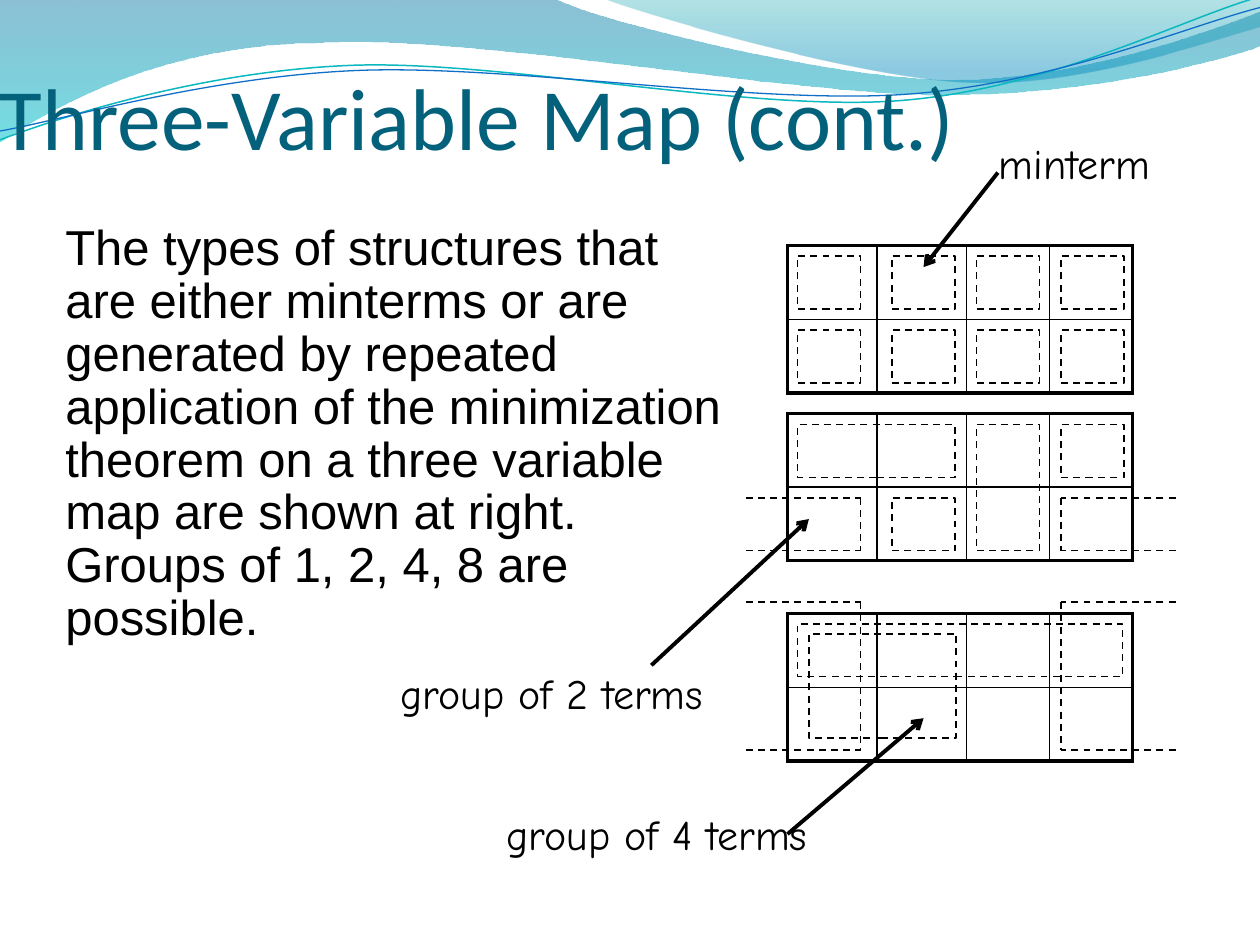
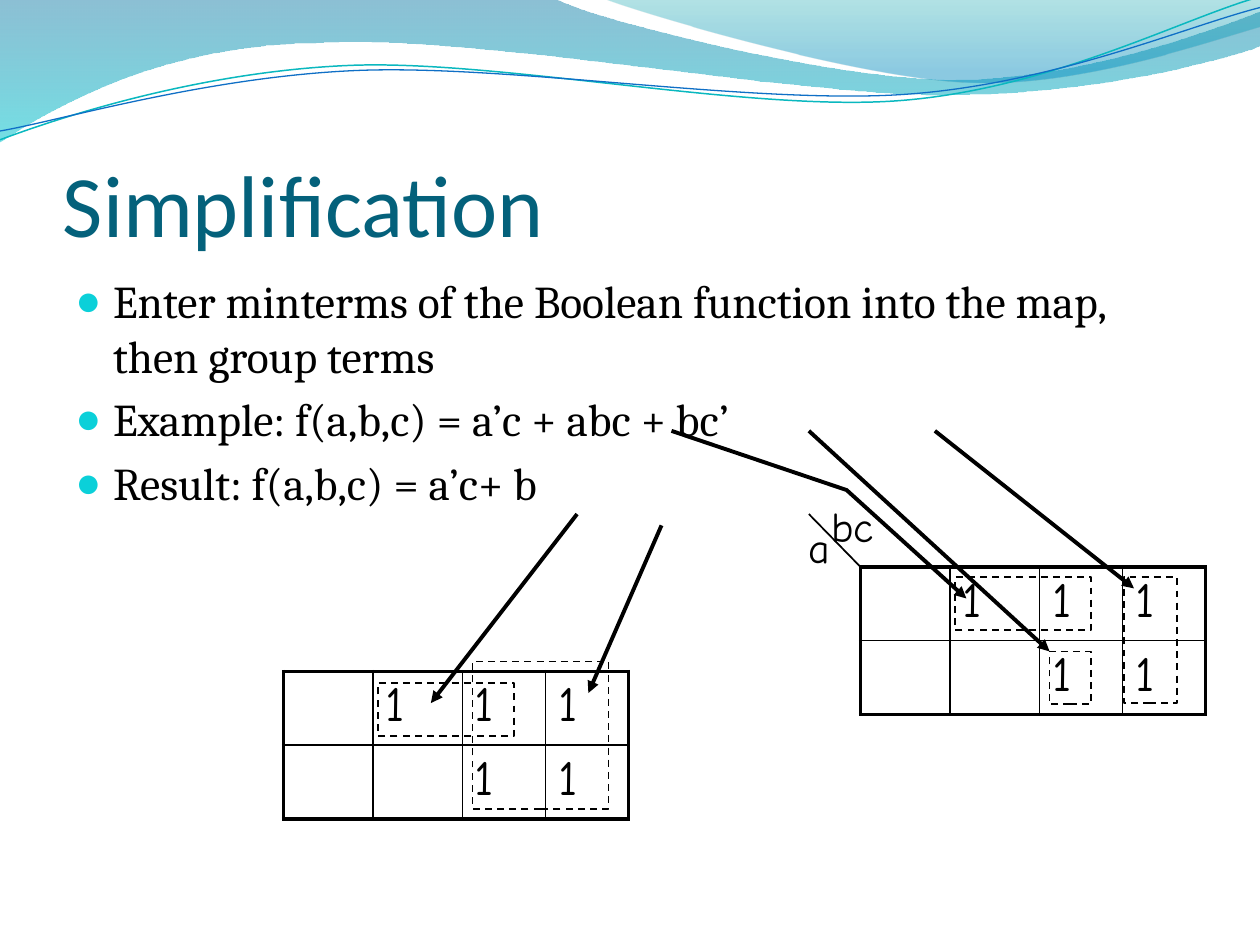
from lxml.etree import SubElement
from pptx import Presentation
from pptx.dml.color import RGBColor
from pptx.enum.dml import MSO_LINE
from pptx.enum.shapes import MSO_CONNECTOR, MSO_SHAPE
from pptx.enum.text import MSO_ANCHOR, MSO_AUTO_SIZE
from pptx.oxml.ns import qn
from pptx.util import Inches, Pt

BLACK, TITLE_COLOR, BULLET_COLOR = "000000", "04617B", "0BD0D9"
THIN, THICK = 1, 2.25

# Waves: a start point, then segments of one point (straight) or three (Bezier).
BANDS = [
    {"start": (0, -0.01),
     "segments": [[(4.4, -0.01)],
                  [(4.76, 0.17), (6.64, 0.63), (7.58, 0.63)],
                  [(8.53, 0.63), (9.58, 0.26), (10, 0.09)],
                  [(10.01, 0.36)],
                  [(9.83, 0.44), (8.7, 0.76), (7.46, 0.75)],
                  [(6.22, 0.75), (3.82, 0.28), (2.57, 0.34)],
                  [(1.29, 0.35), (0.46, 0.83), (-0.01, 1.13)],
                  [(0, -0.01)]],
     "stops": [(0, "0074A1", 45), (1, "00C6CF", 55)]},
    {"start": (4.79, -0.01),
     "segments": [[(5.09, 0.11), (6.82, 0.62), (7.69, 0.65)],
                  [(8.56, 0.69), (9.61, 0.32), (10, 0.21)],
                  [(10, 0)],
                  [(4.79, -0.01)]],
     "stops": [(0, "00A1A9", 30), (0.8, "008BBF", 45)]},
]
WAVE_LINES = [
    {"start": (0, 1.11), "color": "0AB8BF", "width": 0.85,
     "segments": [[(0.48, 0.93), (1.58, 0.57), (2.77, 0.52)],
                  [(3.95, 0.47), (5.93, 0.89), (7.13, 0.8)],
                  [(8.33, 0.71), (9.38, 0.15), (9.98, -0.02)]]},
    {"start": (0, 1.04), "color": "0F6FC6", "width": 0.75,
     "segments": [[(0.47, 0.96), (1.64, 0.61), (2.83, 0.56)],
                  [(4.03, 0.51), (5.97, 0.83), (7.17, 0.75)],
                  [(8.36, 0.67), (9.41, 0.21), (10, 0.06)]]},
]

# Karnaugh maps: boxes (left, top, width, height) and brackets (top, bottom)
# are measured from the top left corner of their map.
COLUMN_WIDTHS, MAP_HEIGHT = (0.71, 0.71, 0.66, 0.66), 1.17
MINTERM_LEFTS, MINTERM_TOPS = (0.08, 0.83, 1.5, 2.17), (0.08, 0.67)
EMPTY_MAP = ["    ", "    "]
FILLED_MAP = [" 111", "  11"]
STRUCTURE_MAPS = [
    {"corner": (6.25, 1.95), "rows": EMPTY_MAP, "brackets": [],
     "boxes": [(left, top, 0.5, 0.42) for top in MINTERM_TOPS for left in MINTERM_LEFTS]},
    {"corner": (6.25, 3.28), "rows": EMPTY_MAP, "brackets": [(0.67, 1.09)],
     "boxes": [(0.08, 0.09, 1.25, 0.42), (1.5, 0.09, 0.5, 1),
               (2.17, 0.09, 0.5, 0.42), (0.83, 0.67, 0.5, 0.42)]},
    {"corner": (6.25, 4.87), "rows": EMPTY_MAP, "brackets": [(-0.09, 1.08)],
     "boxes": [(0.08, 0.08, 2.58, 0.42), (0.17, 0.16, 1.17, 0.83)]},
]
EXAMPLE_MAPS = [
    {"corner": (6.83, 4.5), "rows": FILLED_MAP, "brackets": [],
     "boxes": [(0.75, 0.08, 1.08, 0.42), (1.5, 0.67, 0.33, 0.42), (2.09, 0.08, 0.42, 1)]},
    {"corner": (2.25, 5.33), "rows": FILLED_MAP, "brackets": [],
     "boxes": [(0.75, 0.09, 1.08, 0.42), (1.5, -0.08, 1.08, 1.17)]},
]

SLIDES = [
    {"title": "Three-Variable Map (cont.)", "title_box": (0, 0.08, 10, 1.25),
     "maps": STRUCTURE_MAPS, "arrowhead": "arrow",
     "arrows": [[(7.92, 1.37), (7.33, 2.12)], [(5.17, 5.28), (6.42, 4.12)],
                [(6.25, 6.62), (7.33, 5.7)]],
     "labels": [("minterm", (7.83, 1.04, 1.49, 0.5)),
                ("group of 2 terms", (3.08, 5.25, 2.83, 0.5)),
                ("group of 4 terms", (3.92, 6.37, 2.83, 0.5))]},
    {"title": "Simplification", "title_box": (0.5, 0.77, 9, 1.25),
     "maps": EXAMPLE_MAPS, "arrowhead": "triangle",
     "arrows": [[(7.42, 3.42), (9, 4.67)], [(6.42, 3.42), (8.33, 5.17)],
                [(5.33, 3.42), (6.72, 3.89), (7.67, 4.75)],
                [(4.58, 4.08), (3.42, 5.58)], [(5.25, 4.17), (4.67, 5.5)]],
     "labels": [("a", (6.32, 4.09, 0.37, 0.5)), ("bc", (6.5, 3.92, 0.57, 0.5))]},
]
EXPLANATION = (
    "The types of structures that are either minterms or are generated by repeated "
    "application of the minimization theorem on a three variable map are shown at right. "
    "\vGroups of 1, 2, 4, 8 are possible.")
STEPS = [
    "Enter minterms of the Boolean function into the map, then group terms",
    "Example: f(a,b,c) = a’c + abc + bc’",
    "Result: f(a,b,c) = a’c+ b",
]


def rgb(color):
    """Turn a hex string into a colour."""
    return RGBColor.from_string(color)


def inches(values):
    """Turn a sequence of numbers into lengths."""
    return [Inches(value) for value in values]


def style_line(shape, width, color=BLACK, dashed=False, arrowhead=None):
    """Set the outline of a shape or connector."""
    shape.line.color.rgb = rgb(color)
    shape.line.width = Pt(width)
    if dashed:
        shape.line.dash_style = MSO_LINE.DASH
    if arrowhead:
        SubElement(shape.line._get_or_add_ln(), qn("a:tailEnd"), type=arrowhead)


def style_font(paragraph, name, size, color=BLACK):
    """Set the font of a whole paragraph."""
    paragraph.font.name = name
    paragraph.font.size = Pt(size)
    paragraph.font.color.rgb = rgb(color)


def add_outline(shapes, start, segments, close=False):
    """Add an unfilled freeform of straight and Bezier segments."""
    builder = shapes.build_freeform(*inches(start))
    builder.add_line_segments([inches(point) for segment in segments for point in segment],
                              close=close)
    shape = builder.convert_to_shape()
    shape.shadow.inherit = False
    shape.fill.background()
    steps = iter(list(shape._element.iter(qn("a:lnTo"))))
    for segment in segments:
        first, *others = [next(steps) for _ in segment]
        if others:
            first.tag = qn("a:cubicBezTo")
        for step in others:
            first.append(step[0])
            step.getparent().remove(step)
    return shape


def add_line(shapes, start, end, width, **style):
    """Add a straight connector without a shadow."""
    line = shapes.add_connector(MSO_CONNECTOR.STRAIGHT, *inches(start), *inches(end))
    style_line(line, width, **style)
    SubElement(line._element.spPr, qn("a:effectLst"))


def add_waves(slide):
    """Draw the wave band at the top of a slide."""
    for band in BANDS:
        shape = add_outline(slide.shapes, band["start"], band["segments"], close=True)
        shape.line.fill.background()
        shape.fill.gradient()
        shape.fill.gradient_angle = 270
        for stop, (position, color, _) in zip(shape.fill.gradient_stops, band["stops"]):
            stop.position = position
            stop.color.rgb = rgb(color)
        for element, (_, _, opacity) in zip(shape._element.iter(qn("a:srgbClr")), band["stops"]):
            SubElement(element, qn("a:alpha"), val=str(opacity * 1000))
    group = slide.shapes.add_group_shape()
    for wave in WAVE_LINES:
        shape = add_outline(group.shapes, wave["start"], wave["segments"])
        style_line(shape, wave["width"], wave["color"])


def add_text(slide, box, paragraphs, name, size, color=BLACK, wrap=True):
    """Add a text box and return its frame."""
    frame = slide.shapes.add_textbox(*inches(box)).text_frame
    frame.word_wrap = wrap
    for index, text in enumerate(paragraphs):
        paragraph = frame.add_paragraph() if index else frame.paragraphs[0]
        paragraph.text = text
        style_font(paragraph, name, size, color)
    return frame


def add_title(slide, text, box):
    """Add the slide title, resting on the bottom of its box."""
    frame = add_text(slide, box, [text], "Calibri", 50, TITLE_COLOR)
    frame.vertical_anchor = MSO_ANCHOR.BOTTOM
    frame.margin_left = frame.margin_right = frame.margin_bottom = 0


def add_label(slide, text, box):
    """Add a one-line label."""
    frame = add_text(slide, box, [text], "Comic Neue", 24, wrap=False)
    frame.auto_size = MSO_AUTO_SIZE.SHAPE_TO_FIT_TEXT


def set_borders(cell, widths):
    """Give a cell its left, right, top and bottom borders."""
    properties = cell._tc.get_or_add_tcPr()
    for side, width in zip("LRTB", widths):
        line = SubElement(properties, qn(f"a:ln{side}"), w=str(Pt(width)))
        SubElement(SubElement(line, qn("a:solidFill")), qn("a:srgbClr"), val=BLACK)


def add_grid(slide, corner, rows):
    """Add the map table with a thick frame and thin inner lines."""
    size = (sum(COLUMN_WIDTHS), MAP_HEIGHT)
    table = slide.shapes.add_table(len(rows), len(COLUMN_WIDTHS),
                                   *inches(corner), *inches(size)).table
    table.first_row = table.horz_banding = False
    for column, width in zip(table.columns, COLUMN_WIDTHS):
        column.width = Inches(width)
    last_row, last_column = len(rows) - 1, len(COLUMN_WIDTHS) - 1
    for row, values in enumerate(rows):
        for column, value in enumerate(values):
            cell = table.cell(row, column)
            on_frame = (column == 0, column == last_column, row == 0, row == last_row)
            set_borders(cell, [THICK if outer else THIN for outer in on_frame])
            cell.fill.background()
            if value.strip():
                cell.text = value
                style_font(cell.text_frame.paragraphs[0], "Comic Neue", 28)


def add_brackets(slide, left, top, bottom):
    """Add the two open dashed brackets of a group that wraps around the map."""
    for outer, inner in ((-0.33, 0.58), (3.08, 2.17)):
        shapes = slide.shapes.add_group_shape().shapes
        outer, inner = left + outer, left + inner
        for start, end in (((outer, bottom), (inner, bottom)),
                           ((outer, top), (inner, top)),
                           ((inner, top), (inner, bottom))):
            add_line(shapes, start, end, THIN, dashed=True)


def add_map(slide, corner, rows, boxes, brackets):
    """Add a Karnaugh map with its dashed groups."""
    left, top = corner
    add_grid(slide, corner, rows)
    for x, y, width, height in boxes:
        box = slide.shapes.add_shape(MSO_SHAPE.RECTANGLE,
                                     *inches((left + x, top + y, width, height)))
        box.shadow.inherit = False
        box.fill.background()
        style_line(box, THIN, dashed=True)
    for upper, lower in brackets:
        add_brackets(slide, left, top + upper, top + lower)


def add_explanation(slide):
    """Add the running text beside the maps."""
    frame = add_text(slide, (0.42, 1.72, 5.42, 4.28), [EXPLANATION], "Arial", 28)
    frame.paragraphs[0].line_spacing = 0.9
    frame.paragraphs[0].space_before = Pt(5.6)


def add_steps(slide):
    """Add the bulleted steps and the axis line of the first map."""
    frame = add_text(slide, (0.5, 2.12, 9, 4.8), STEPS, "Cambria", 26)
    for paragraph in frame.paragraphs:
        paragraph.space_before = Pt(5.2)
        properties = paragraph._p.get_or_add_pPr()
        properties.set("marL", str(Inches(0.3)))
        properties.set("indent", str(Inches(-0.3)))
        color = SubElement(properties, qn("a:buClr"))
        SubElement(color, qn("a:srgbClr"), val=BULLET_COLOR)
        SubElement(properties, qn("a:buSzPct"), val="95000")
        SubElement(properties, qn("a:buFont"), typeface="Arial")
        SubElement(properties, qn("a:buChar"), char="●")
        properties.append(properties.find(qn("a:defRPr")))
    add_line(slide.shapes, (6.83, 4.5), (6.42, 4.08), THIN)


def add_arrow(slide, points, arrowhead):
    """Add a straight arrow, or a bent one for more than two points."""
    if len(points) == 2:
        add_line(slide.shapes, *points, THICK, arrowhead=arrowhead)
    else:
        start, *corners = points
        bent = add_outline(slide.shapes, start, [[corner] for corner in corners])
        style_line(bent, THICK, arrowhead=arrowhead)


presentation = Presentation()
presentation.slide_width, presentation.slide_height = inches((10, 7.5))
for content, add_body in zip(SLIDES, (add_explanation, add_steps)):
    slide = presentation.slides.add_slide(presentation.slide_layouts[6])
    add_waves(slide)
    add_title(slide, content["title"], content["title_box"])
    add_body(slide)
    for karnaugh_map in content["maps"]:
        add_map(slide, **karnaugh_map)
    for arrow in content["arrows"]:
        add_arrow(slide, arrow, content["arrowhead"])
    for label, label_box in content["labels"]:
        add_label(slide, label, label_box)
presentation.save("out.pptx")
